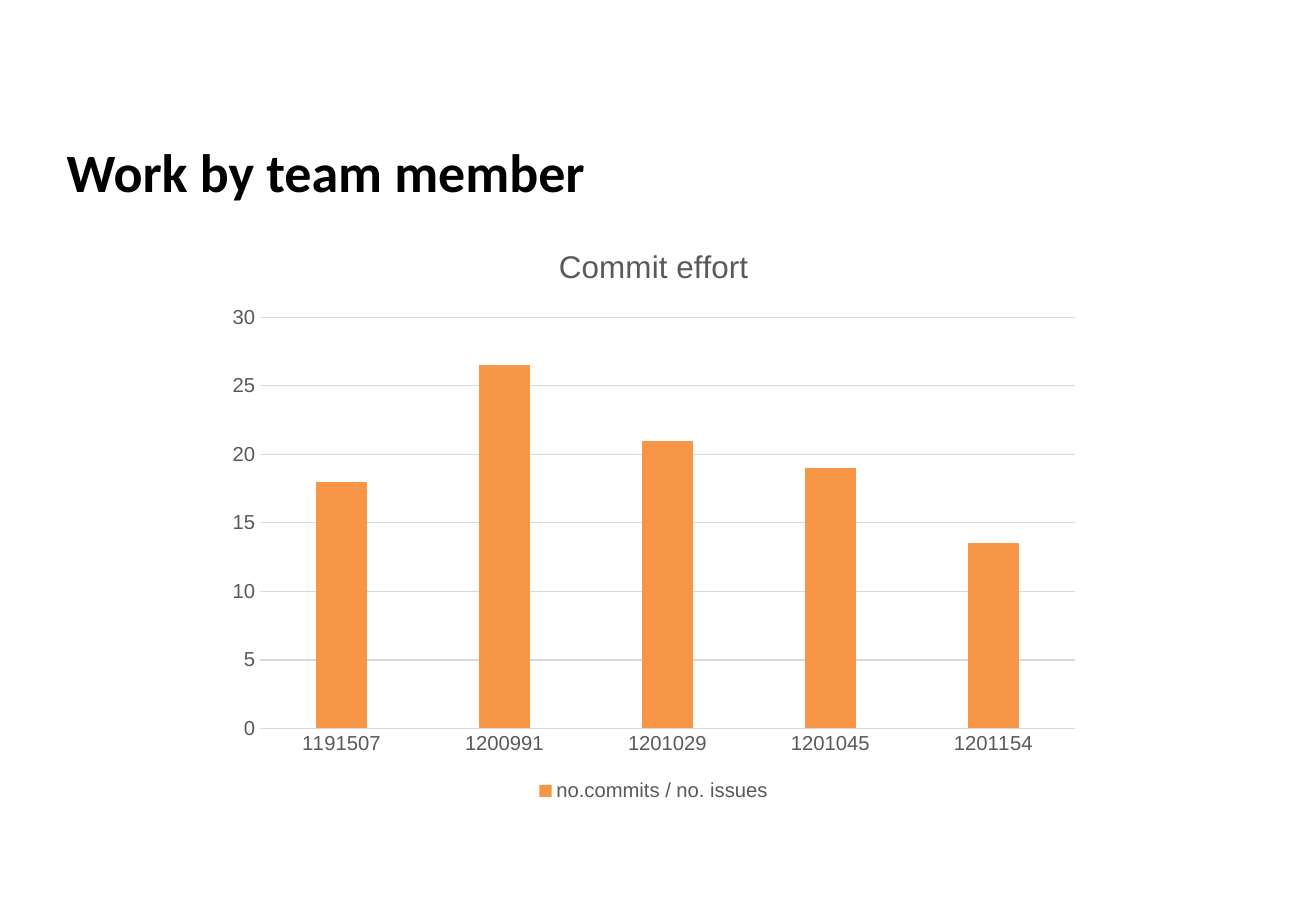
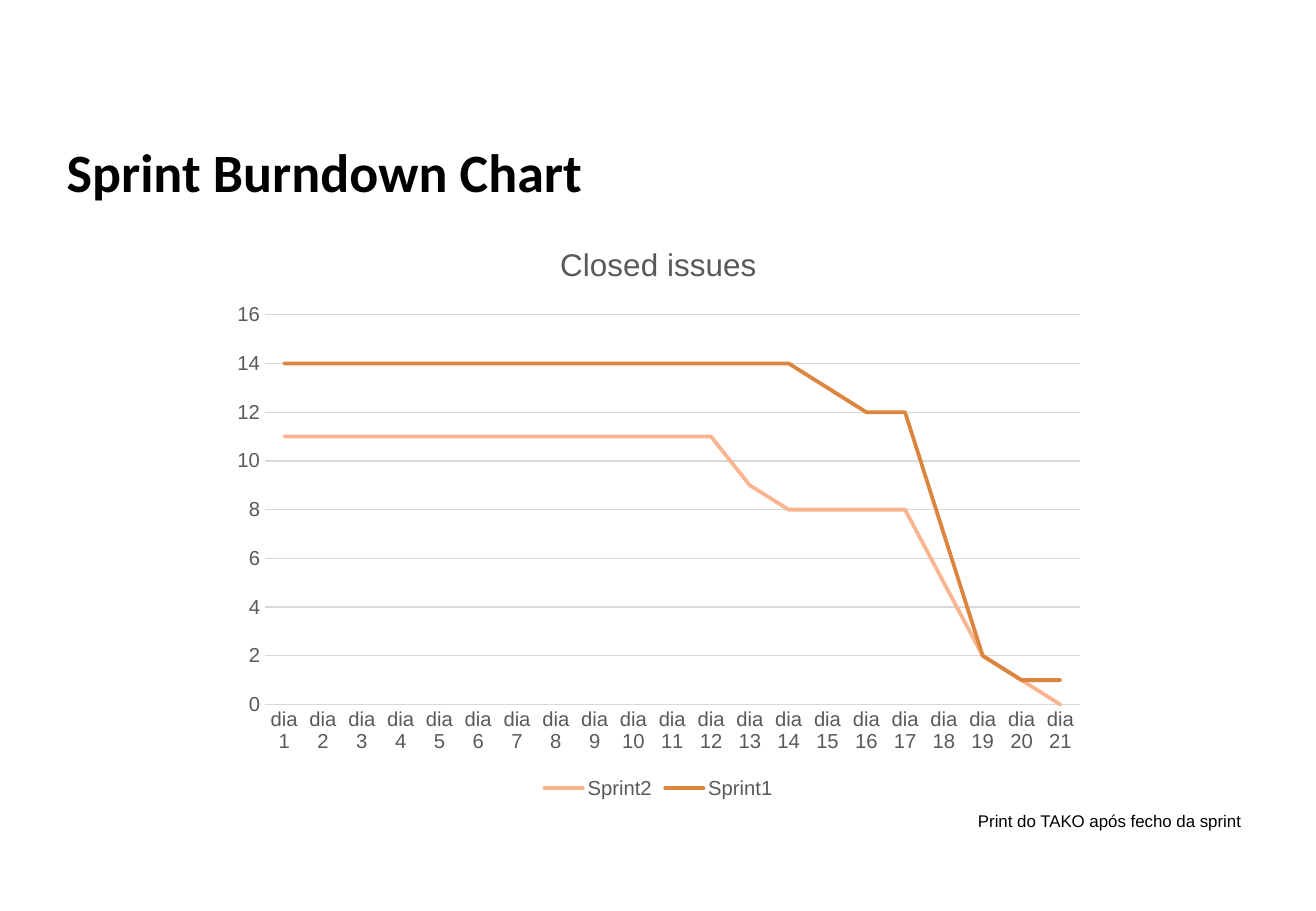
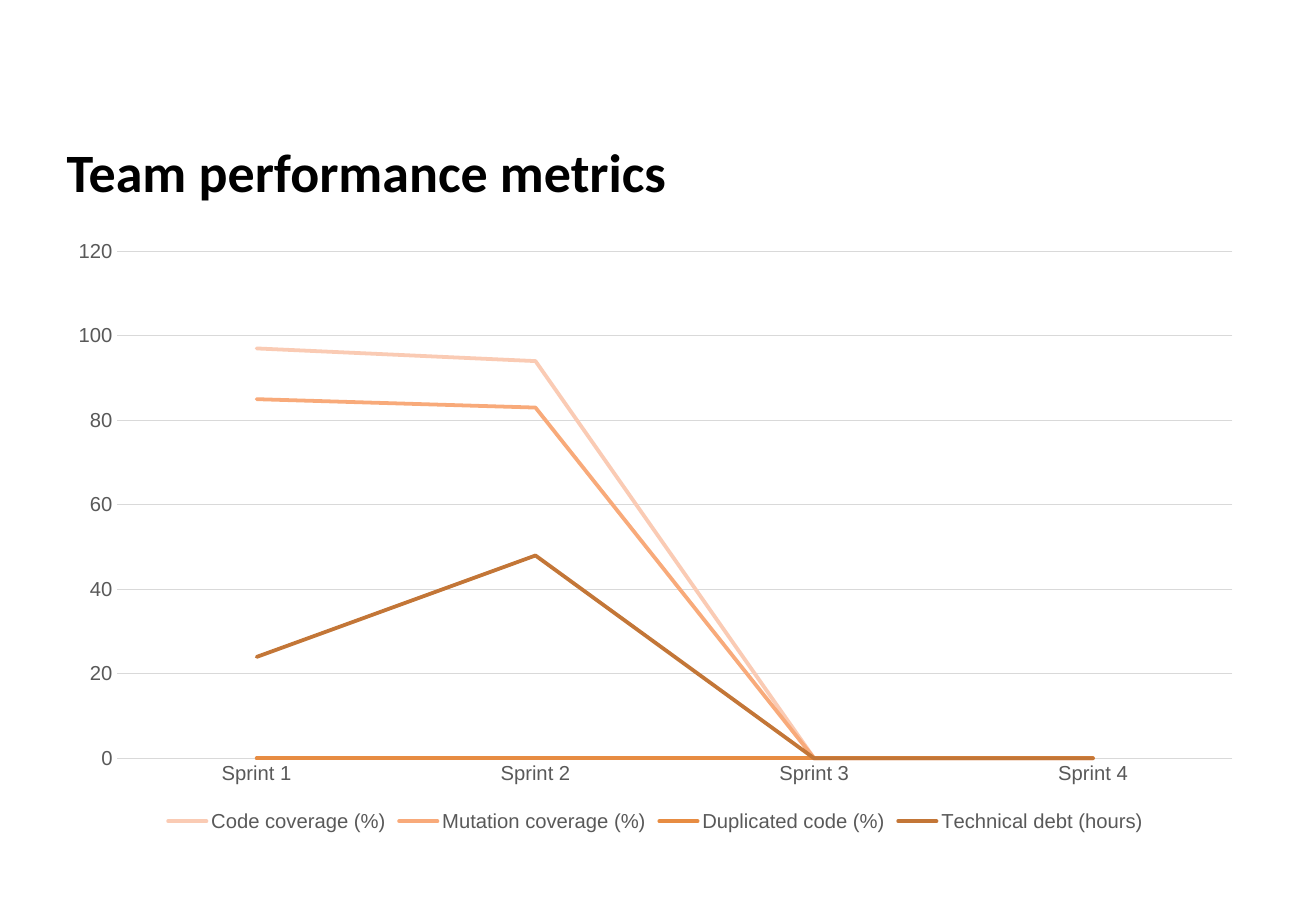
from lxml.etree import SubElement
from pptx import Presentation
from pptx.chart.data import CategoryChartData
from pptx.dml.color import RGBColor
from pptx.enum.chart import XL_CHART_TYPE as ChartType
from pptx.enum.chart import XL_LEGEND_POSITION as LegendPosition
from pptx.enum.chart import XL_TICK_MARK as TickMark
from pptx.enum.shapes import MSO_SHAPE as Preset
from pptx.enum.text import MSO_ANCHOR as Anchor
from pptx.oxml.ns import qn
from pptx.util import Inches, Pt


def color(value):
    return RGBColor.from_string(value)


def style_font(font, name="Arial", size=12, fill="000000", bold=False):
    font.name = name
    font.size = Pt(size)
    font.bold = bold
    font.color.rgb = color(fill)


def write(frame, text, **style):
    paragraph = frame.paragraphs[0]
    run = paragraph.add_run()
    run.text = text
    style_font(run.font, **style)
    return paragraph


class Deck:
    black, white, gray, grid = "000000", "FFFFFF", "595959", "D9D9D9"

    def __init__(self):
        self.presentation = Presentation()
        self.presentation.slide_width = Inches(10.83)
        self.presentation.slide_height = Inches(7.5)
        self.slide = None

    def new_slide(self, title):
        self.slide = self.presentation.slides.add_slide(self.presentation.slide_layouts[6])
        box = self.slide.shapes.add_textbox(*map(Inches, (0.45, 1.09, 9.89, 0.63)))
        box.text_frame.word_wrap = True
        box.text_frame.vertical_anchor = Anchor.MIDDLE
        write(box.text_frame, title, name="Calibri", size=32, fill=self.black, bold=True)

    def caption(self, text, place, opacity=70):
        shape = self.slide.shapes.add_shape(Preset.RECTANGLE, *map(Inches, place))
        shape.shadow.inherit = False
        shape.fill.solid()
        shape.fill.fore_color.rgb = color(self.white)
        fill = shape._element.spPr.find(".//" + qn("a:srgbClr"))
        SubElement(fill, qn("a:alpha")).set("val", str(opacity * 1000))
        shape.line.fill.background()
        paragraph = write(shape.text_frame, text, size=10, fill=self.black)
        paragraph.alignment = 1

    def chart(self, kind, place, categories, series, top, step, title=None):
        data = CategoryChartData()
        data.categories = categories
        for name, values, _ in series:
            data.add_series(name, values)
        chart = self.slide.shapes.add_chart(kind, *map(Inches, place), data).chart
        style_font(chart.font, fill=self.gray)
        chart.has_title = title is not None
        if title:
            write(chart.chart_title.text_frame, title, size=18.6, fill=self.gray)
        chart.has_legend = True
        chart.legend.position = LegendPosition.BOTTOM
        chart.legend.include_in_layout = False
        style_font(chart.legend.font, fill=self.gray)
        self.axes(chart, top, step)
        plot = chart.plots[0]
        plot.vary_by_categories = False
        for item, (_, _, fill) in zip(plot.series, series):
            if kind == ChartType.LINE:
                item.smooth = False
                item.format.line.color.rgb = color(fill)
                item.format.line.width = Pt(2.25)
                item._element.find(".//" + qn("a:ln")).set("cap", "rnd")
            else:
                item.format.fill.solid()
                item.format.fill.fore_color.rgb = color(fill)
        return plot

    def axes(self, chart, top, step):
        category, value = chart.category_axis, chart.value_axis
        for axis in (category, value):
            axis.major_tick_mark = axis.minor_tick_mark = TickMark.NONE
            style_font(axis.tick_labels.font, fill=self.gray)
        value.minimum_scale, value.maximum_scale, value.major_unit = 0, top, step
        value.has_major_gridlines = True
        value.format.line.fill.background()
        for line in (category.format.line, value.major_gridlines.format.line):
            line.color.rgb = color(self.grid)
            line.width = Pt(0.75)


def main():
    deck = Deck()

    deck.new_slide("Work by team member")
    members = ["1191507", "1200991", "1201029", "1201045", "1201154"]
    commits = [("no.commits / no. issues", [18, 26.5, 21, 19, 13.5], "F79646")]
    plot = deck.chart(ChartType.COLUMN_CLUSTERED, (1.77, 1.83, 7.22, 4.81),
                      members, commits, 30, 5, "Commit effort")
    plot.gap_width = 219
    plot.overlap = -27

    deck.new_slide("Sprint Burndown Chart")
    deck.caption("Print do TAKO após fecho da sprint", (7.95, 6.62, 2.46, 0.27))
    days = [f"dia {day}" for day in range(1, 22)]
    burndown = [
        ("Sprint2", [11] * 12 + [9, 8, 8, 8, 8, 5, 2, 1, 0], "F9B590"),
        ("Sprint1", [14] * 14 + [13, 12, 12, 7, 2, 1, 1], "DB853E"),
    ]
    deck.chart(ChartType.LINE, (1.81, 1.81, 7.22, 4.81), days, burndown, 16, 2,
               "Closed issues")

    deck.new_slide("Team performance metrics")
    sprints = [f"Sprint {number}" for number in range(1, 5)]
    metrics = [
        ("Code coverage (%)", [97, 94, 0, 0], "FACBB4"),
        ("Mutation coverage (%)", [85, 83, 0, 0], "F8AA7A"),
        ("Duplicated code (%)", [0, 0, 0, 0], "E78C42"),
        ("Technical debt (hours)", [24, 48, 0, 0], "C37637"),
    ]
    deck.chart(ChartType.LINE, (0.45, 1.88, 9.89, 5.01), sprints, metrics, 120, 20)

    deck.presentation.save("out.pptx")


if __name__ == "__main__":
    main()
